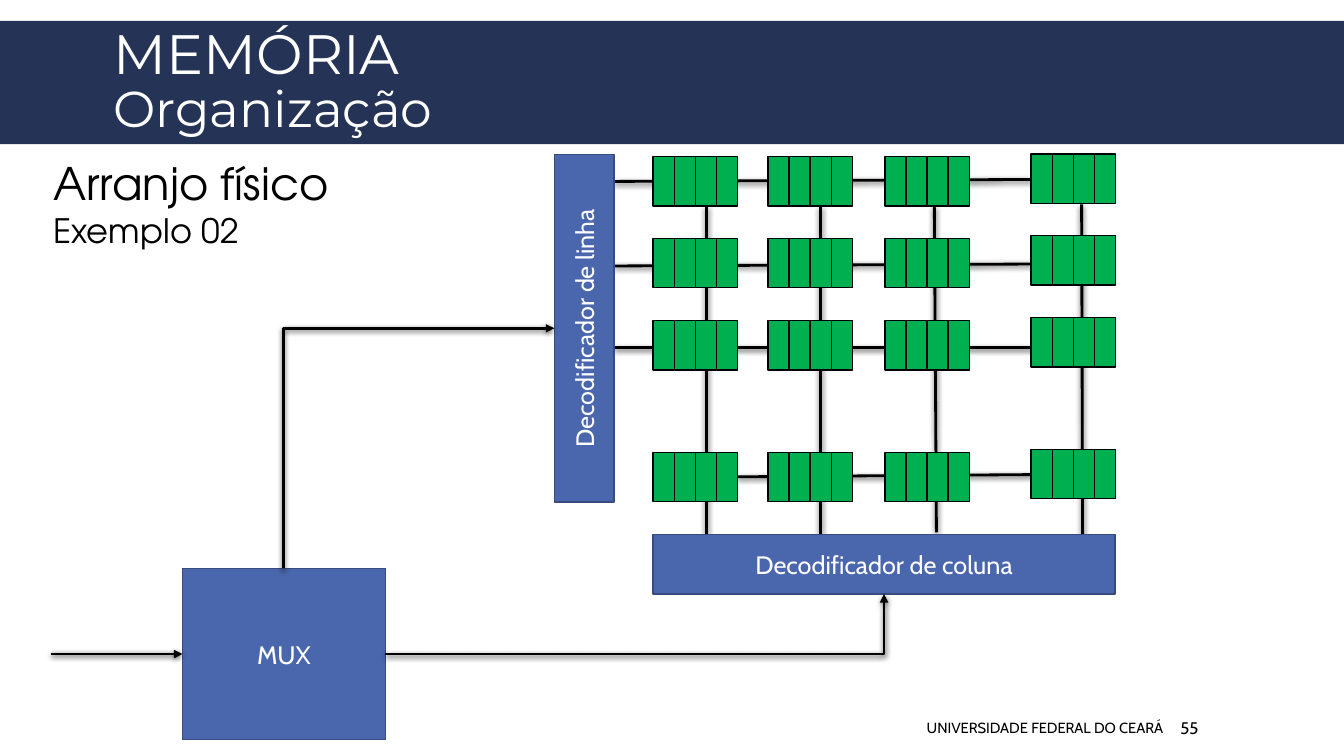
from lxml import etree
from pptx import Presentation
from pptx import util as u
from pptx.dml import color
from pptx.enum import shapes, text
from pptx.oxml import ns

NAVY = color.RGBColor(0x25, 0x33, 0x56)
BLUE = color.RGBColor(0x4A, 0x66, 0xAC)
EDGE = color.RGBColor(0x37, 0x4B, 0x7F)
GREEN = color.RGBColor(0x00, 0xB0, 0x50)
BLACK = color.RGBColor(0, 0, 0)
WHITE = color.RGBColor(0xFF, 0xFF, 0xFF)


class Board:
    """Draws styled elements on one slide, with lengths in points."""

    body_font = "Cabin"
    wire_width = 2
    cell_width, cell_height, cells = 15.1, 35.3, 4

    def __init__(self, s):
        self.s = s

    def rect(self, x, y, w, h, fill, line=None, parent=None):
        sp = (parent or self.s).shapes.add_shape(
            shapes.MSO_SHAPE.RECTANGLE, u.Pt(x), u.Pt(y), u.Pt(w), u.Pt(h))
        sp.shadow.inherit = False
        sp.fill.solid()
        sp.fill.fore_color.rgb = fill
        if line is None:
            sp.line.fill.background()
        else:
            sp.line.color.rgb = line
            sp.line.width = u.Pt(1)
        return sp

    def run(self, p, words, size, rgb=BLACK, font=None):
        r = p.add_run()
        r.text = words
        r.font.size = u.Pt(size)
        r.font.name = font or self.body_font
        r.font.color.rgb = rgb

    def block(self, x, y, w, h, words, vertical=False):
        sp = self.rect(x, y, w, h, BLUE, EDGE)
        tf = sp.text_frame
        tf.vertical_anchor = text.MSO_ANCHOR.MIDDLE
        if vertical:
            tf._txBody.bodyPr.set("vert", "vert270")
        p = tf.paragraphs[0]
        p.alignment = text.PP_ALIGN.CENTER
        self.run(p, words, 18, WHITE)
        return sp

    def register(self, x, y):
        group = self.s.shapes.add_group_shape()
        for i in range(self.cells):
            self.rect(x + i * self.cell_width, y, self.cell_width,
                      self.cell_height, GREEN, BLACK, group)

    def label(self, x, y, w, h, anchor=text.MSO_ANCHOR.MIDDLE):
        tf = self.s.shapes.add_textbox(u.Pt(x), u.Pt(y), u.Pt(w), u.Pt(h)).text_frame
        tf.word_wrap = True
        tf.vertical_anchor = anchor
        return tf

    def wire(self, x1, y1, x2, y2, arrow=None, bent=False):
        kind = shapes.MSO_CONNECTOR.ELBOW if bent else shapes.MSO_CONNECTOR.STRAIGHT
        c = self.s.shapes.add_connector(kind, u.Pt(x1), u.Pt(y1), u.Pt(x2), u.Pt(y2))
        c.line.color.rgb = BLACK
        c.line.width = u.Pt(self.wire_width)
        props = c._element.spPr
        if bent:
            props.find(ns.qn("a:prstGeom")).set("prst", "bentConnector2")
        if arrow:
            etree.SubElement(c.line._get_or_add_ln(), ns.qn(arrow), type="triangle")
        effects = etree.SubElement(props, ns.qn("a:effectLst"))
        shadow = etree.SubElement(
            effects, ns.qn("a:outerShdw"), blurRad=str(u.Pt(4)),
            dist=str(u.Pt(1.2)), dir="5400000", rotWithShape="0")
        shade = etree.SubElement(shadow, ns.qn("a:srgbClr"), val=str(BLACK))
        etree.SubElement(shade, ns.qn("a:alpha"), val="68000")
        return c


def main():
    prs = Presentation()
    prs.slide_width, prs.slide_height = u.Pt(960), u.Pt(540)
    board = Board(prs.slides.add_slide(prs.slide_layouts[6]))

    board.rect(0, 15, 960, 88, NAVY)
    for ends in ((527, 340.6, 736.5, 339), (439, 248.4, 738.5, 248.4),
                 (439, 190, 737.5, 188.6), (438.5, 129.6, 736.5, 128.2),
                 (772.6, 146, 773.3, 381.6), (667.4, 147.6, 668.9, 380.2),
                 (586, 147.6, 586, 381.6), (504.7, 147.6, 504.7, 381.6)):
        board.wire(*ends)

    p = board.label(74, 18, 816, 83.5).paragraphs[0]
    p.line_spacing = 0.85
    board.run(p, "MEMÓRIA", 39.6, WHITE, "Montserrat")
    p.add_line_break()
    board.run(p, "Organização", 36, WHITE, "Montserrat")

    p = board.label(440.5, 505.5, 397.5, 29).paragraphs[0]
    p.alignment = text.PP_ALIGN.RIGHT
    board.run(p, "UNIVERSIDADE FEDERAL DO CEARÁ", 10.5)
    tf = board.label(839.5, 505.5, 74, 29)
    tf.margin_left = u.Pt(3.6)
    board.run(tf.paragraphs[0], "55", 12)

    for x, lift in ((466.5, 0), (548.5, 0), (632, 0), (736.5, 2)):
        for y in (112, 170.3, 229, 323):
            board.register(x, y - lift)

    row_decoder = board.block(396, 110.3, 42.5, 248.4, "Decodificador de linha", True)
    column_decoder = board.block(466.5, 381.6, 330, 42.8, "Decodificador de coluna")
    mux = board.block(130.3, 406, 145, 122.4, "MUX")

    c = board.wire(396, 234.5, 202.8, 406, "a:headEnd", True)
    c.begin_connect(row_decoder, 1)
    c.end_connect(mux, 0)
    c = board.wire(275.3, 467.2, 631.5, 424.4, "a:tailEnd", True)
    c.begin_connect(mux, 3)
    c.end_connect(column_decoder, 2)
    c = board.wire(36.5, 467.2, 130.3, 467.2, "a:tailEnd")
    c.end_connect(mux, 1)

    tf = board.label(31, 108, 224, 75, text.MSO_ANCHOR.TOP)
    board.run(tf.paragraphs[0], "Arranjo físico", 32, font="TeX Gyre Adventor")
    board.run(tf.add_paragraph(), "Exemplo 02", 24, font="TeX Gyre Adventor")

    prs.save("out.pptx")


if __name__ == "__main__":
    main()
